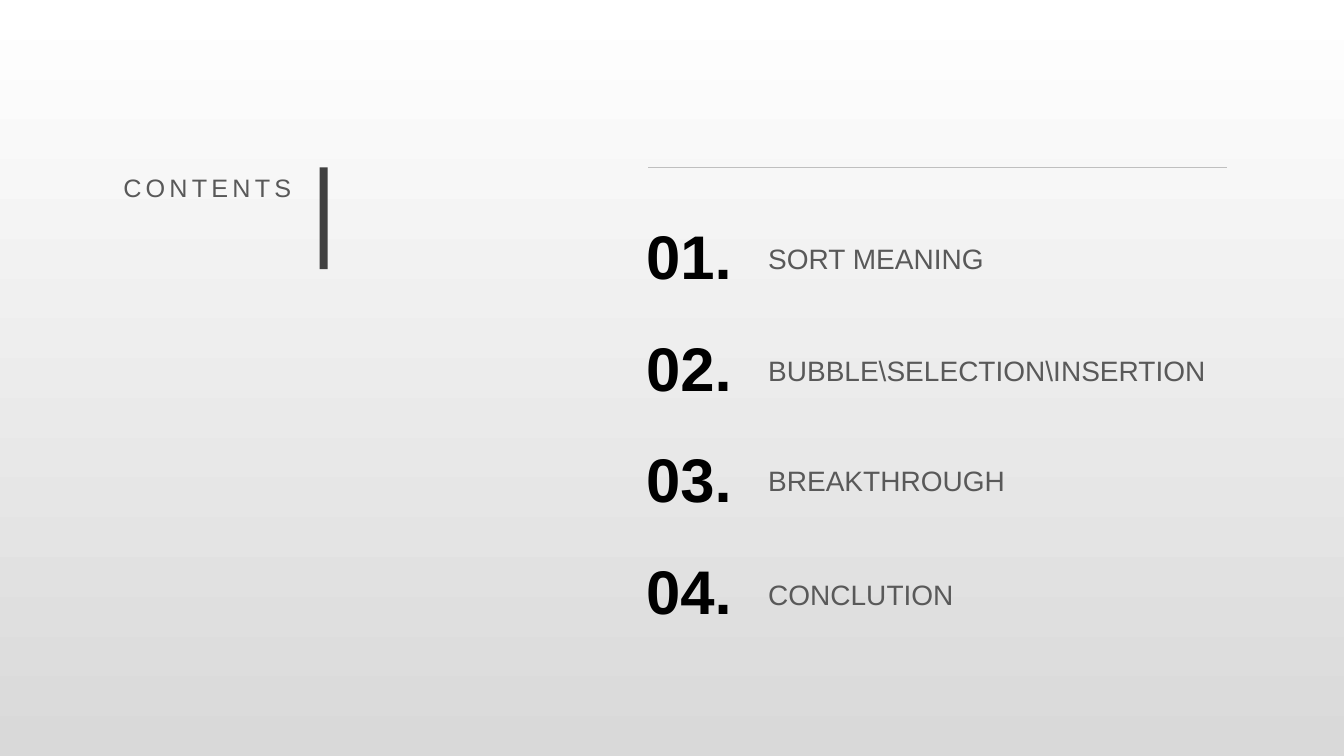
from pptx import Presentation
from pptx.dml.color import RGBColor
from pptx.enum.shapes import MSO_CONNECTOR as Conn, MSO_SHAPE as Shape
from pptx.enum.text import MSO_ANCHOR as Anchor, MSO_AUTO_SIZE as Fit, PP_ALIGN as Align
from pptx.oxml.ns import qn
from pptx.util import Inches, Pt
from lxml.etree import SubElement

GREY = "595959"
TOP = 1.66
ITEMS = [
    ("SORT MEANING", 1.2),
    ("BUBBLE\\SELECTION\\INSERTION", 1.2),
    ("BREAKTHROUGH", 1.1),
    ("CONCLUTION", 1.2),
]


def color(code):
    return RGBColor.from_string(code)


def assign(target, values):
    for name, value in values.items():
        setattr(target, name, value)


def write(box, text, size, code, bold=False, frame=None, para=None):
    assign(box.text_frame, {"auto_size": Fit.NONE, **(frame or {})})
    line = box.text_frame.paragraphs[0]
    assign(line, para or {})
    run = line.add_run()
    run.text = text
    assign(run.font, {"name": "Arial", "size": Pt(size), "bold": bold})
    run.font.color.rgb = color(code)
    return run


def add_text(slide, left, top, width, height, *args, **formats):
    box = slide.shapes.add_textbox(*map(Inches, (left, top, width, height)))
    return write(box, *args, **formats)


def add_title(slide):
    title = slide.shapes.title
    spot = {"left": 0.97, "top": TOP, "width": 2.02, "height": 1.11}
    assign(title, {name: Inches(value) for name, value in spot.items()})
    run = write(title, "CONTENTS", 18, GREY,
                frame={"vertical_anchor": Anchor.TOP, "word_wrap": True},
                para={"alignment": Align.RIGHT})
    run._r.get_or_add_rPr().set("spc", "300")  # letter spacing


def add_bar(slide):
    bar = slide.shapes.add_shape(
        Shape.RECTANGLE, *map(Inches, (3.17, TOP, 0.08, 1.01)))
    bar.shadow.inherit = False
    bar.fill.solid()
    bar.fill.fore_color.rgb = color("404040")
    bar.line.fill.background()


def add_rule(slide):
    rule = slide.shapes.add_connector(
        Conn.STRAIGHT, *map(Inches, (6.43, TOP, 12.17, TOP)))
    rule.line.color.rgb = color("BFBFBF")
    rule.line.width = Pt(0.5)
    SubElement(rule._element.spPr, qn("a:effectLst"))


def add_item(slide, index, text, spacing):
    top = 2.11 + 1.11 * index
    add_text(slide, 6.31, top, 1.05, 0.84, f"{index + 1:02}.", 44, "000000",
             bold=True, frame={"word_wrap": False})
    add_text(slide, 7.52, top, 4.64, 0.84, text, 20, GREY,
             frame={"vertical_anchor": Anchor.MIDDLE, "word_wrap": True},
             para={"line_spacing": spacing})


def shade(slide):
    fill = slide.background.fill
    fill.gradient()
    fill.gradient_angle = 270
    for stop, code in zip(fill.gradient_stops, ("FFFFFF", "D9D9D9")):
        stop.color.rgb = color(code)


def main():
    deck = Presentation()
    assign(deck, {"slide_width": Inches(13.33), "slide_height": Inches(7.5)})
    slide = deck.slides.add_slide(deck.slide_layouts[5])
    shade(slide)

    # Heading with its bar
    add_title(slide)
    add_bar(slide)

    # Numbered contents under the rule
    add_rule(slide)
    for index, (text, spacing) in enumerate(ITEMS):
        add_item(slide, index, text, spacing)

    deck.save("out.pptx")


if __name__ == "__main__":
    main()
